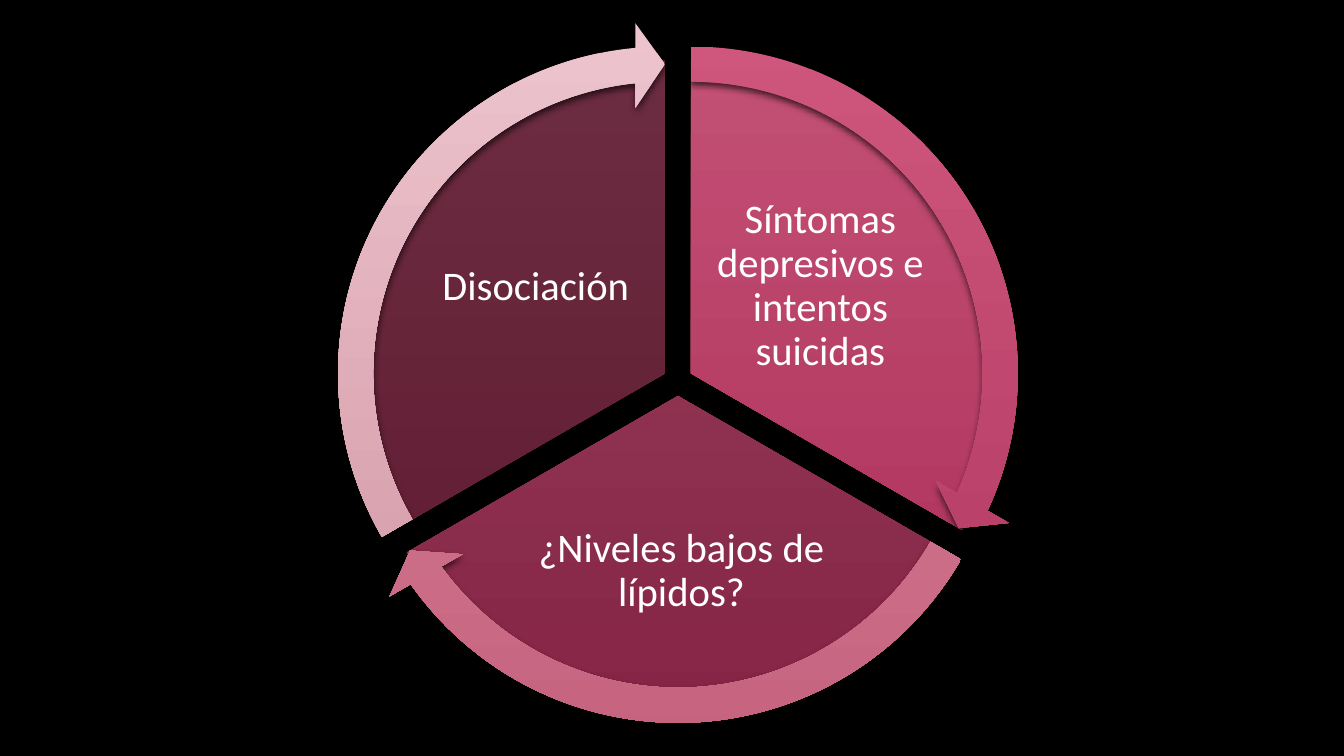
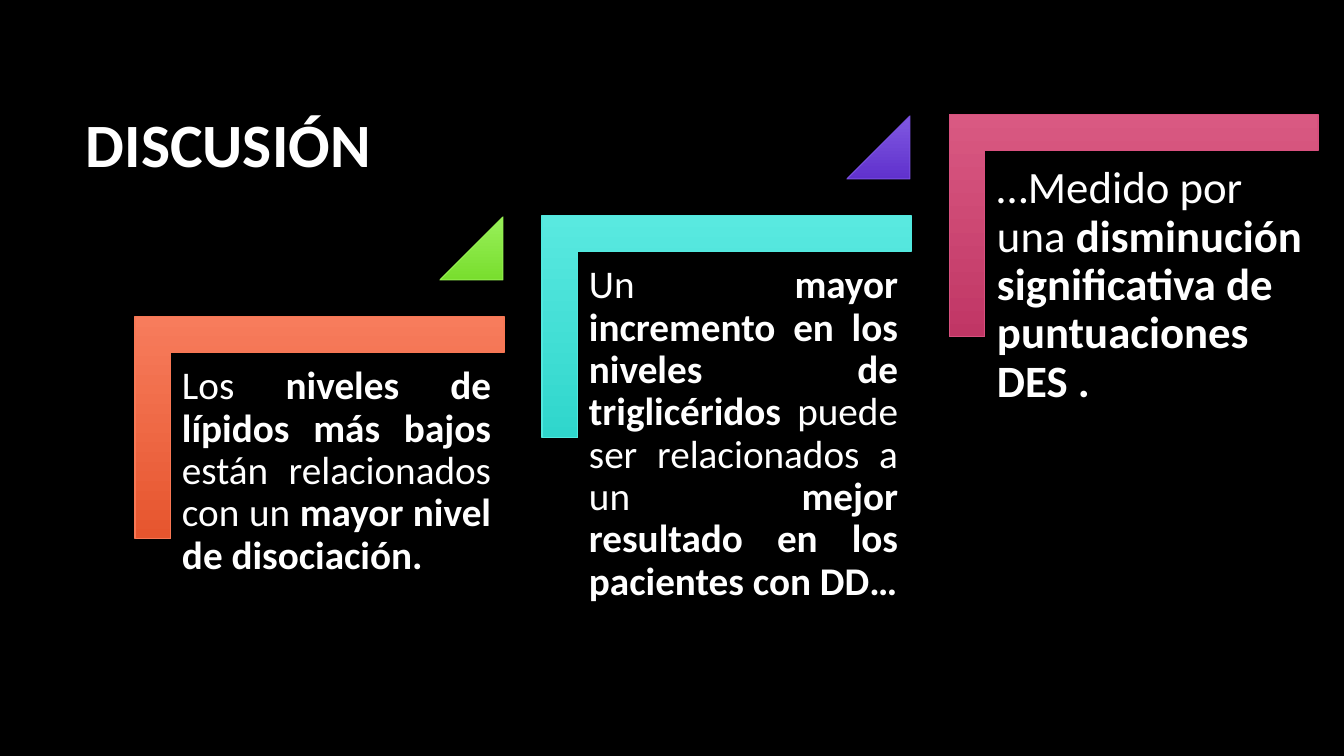
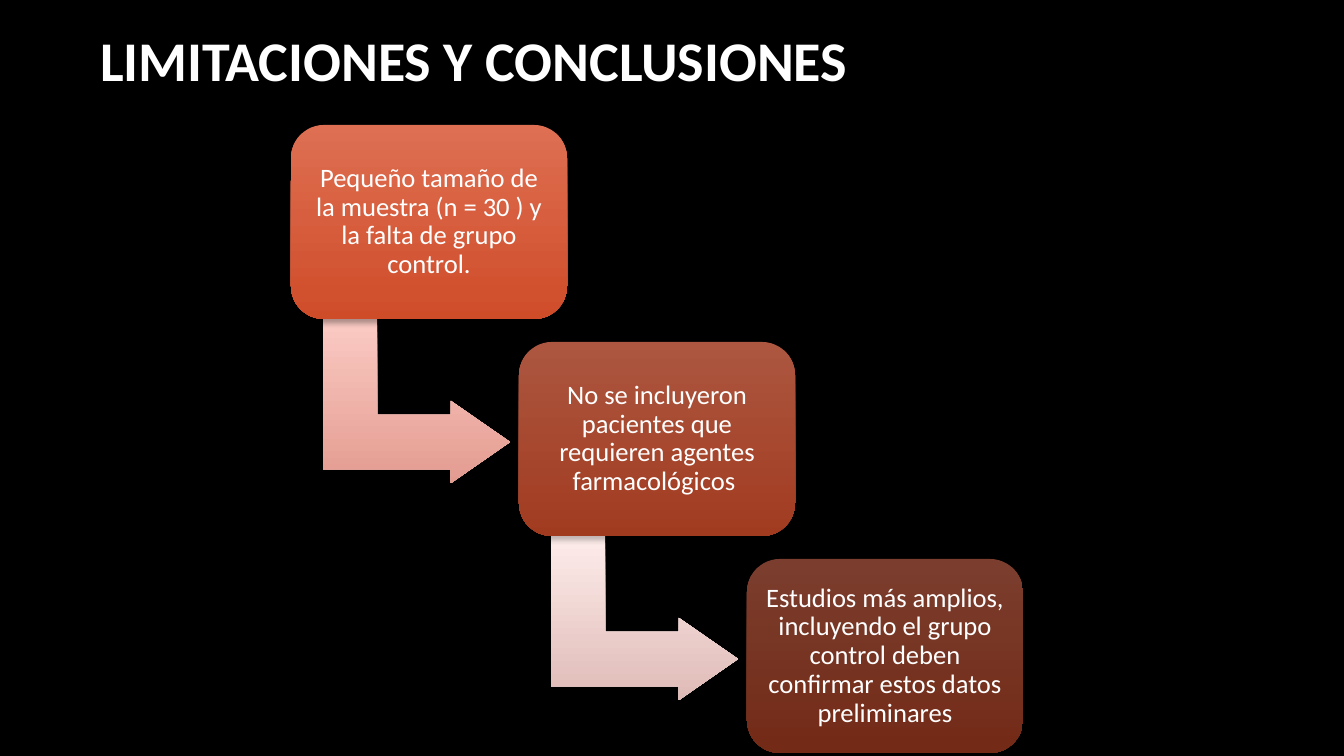
import math
import dataclasses

import lxml.etree
import pptx
import pptx.dml.color
import pptx.enum.shapes
import pptx.enum.text
import pptx.oxml.ns
import pptx.util

FORM = pptx.enum.shapes.MSO_SHAPE
ALIGN = pptx.enum.text.PP_ALIGN
ANCHOR = pptx.enum.text.MSO_ANCHOR
SCALE = 914400 / 100.8
WIDE, HIGH = 1344, 756


@dataclasses.dataclass
class Theme:
    """Colours, font and type sizes of the deck."""
    font: str = "Calibri"
    back: str = "000000"
    ink: str = "FFFFFF"
    rose: tuple = ("D95982", "C03665")
    coral: tuple = ("F77C5C", "E6552E")
    aqua: tuple = ("59E9E0", "2FD6CC")
    lime: tuple = ("98F05A", "79DE2E")
    violet: tuple = ("8059E1", "6031CD")
    edges: tuple = ("F77754", "51E9DF", "D8507E")
    rims: tuple = ("95F052", "7B50E1")
    rings: tuple = (("CF567D", "B13A62"), ("DE8CA3", "C6637F"),
                    ("EDC4CE", "D196A4"))
    bends: tuple = (("FBCBC4", "E39B90"), ("FDECEA", "DFBBB7"))
    fades: tuple = (90, 70, 50)
    deep: tuple = (65, 5)
    soft: tuple = (35, 4)
    head: int = 44
    close: int = 40
    wheel: int = 29
    step: int = 28
    last: int = 32
    card: int = 19


def emu(size):
    """Turn pixels into EMU."""
    return round(size * SCALE)


def rgb(code):
    """Turn a hex code into a colour."""
    return pptx.dml.color.RGBColor.from_string(code)


def add(node, tag, **attrs):
    """Append an XML child to a node."""
    return lxml.etree.SubElement(node, pptx.oxml.ns.qn(tag), attrs)


class Deck:
    """Holds the theme and the current slide."""

    def __init__(self, theme):
        """Start a deck with one shared background."""
        self.theme = theme
        self.show = pptx.Presentation()
        self.show.slide_width = emu(WIDE)
        self.show.slide_height = emu(HIGH)
        fill = self.show.slide_master.background.fill
        fill.solid()
        fill.fore_color.rgb = rgb(theme.back)

    def page(self):
        """Open a new blank slide."""
        self.slide = self.show.slides.add_slide(self.show.slide_layouts[6])

    def shade(self, shape, shadow):
        """Drop a soft shadow straight below a shape."""
        alpha, blur = shadow
        shape.shadow.inherit = False
        effect = shape._element.spPr.find(pptx.oxml.ns.qn("a:effectLst"))
        outer = add(effect, "a:outerShdw", blurRad=str(pptx.util.Pt(blur)),
                    dist=str(pptx.util.Pt(3)), dir="5400000",
                    algn="ctr", rotWithShape="0")
        black = add(outer, "a:srgbClr", val=self.theme.back)
        add(black, "a:alpha", val=str(alpha * 1000))

    def blend(self, shape, pair, fade):
        """Fill a shape from top to bottom with two colours."""
        shape.fill.gradient()
        shape.fill.gradient_angle = 270
        for stop, code in zip(shape.fill.gradient_stops, pair):
            stop.color.rgb = rgb(code)
        grad = shape._element.spPr.find(pptx.oxml.ns.qn("a:gradFill"))
        grad.set("rotWithShape", "0")
        if fade < 100:
            for node in grad.iter(pptx.oxml.ns.qn("a:srgbClr")):
                add(node, "a:alpha", val=str(fade * 1000))

    def shape(self, form, box, pair, adj=(), fade=100, edge=None,
              turned=False, shadow=None):
        """Draw a preset shape that covers the box, a quarter turned or not."""
        left, top, wide, high = box
        if turned:
            left, top = left + (wide - high) / 2, top + (high - wide) / 2
            wide, high = high, wide
        shape = self.slide.shapes.add_shape(
            form, emu(left), emu(top), emu(wide), emu(high))
        if turned:
            shape.rotation = 90
        for i, value in enumerate(adj):
            shape.adjustments[i] = value
        self.blend(shape, pair, fade)
        if edge:
            shape.line.color.rgb = rgb(edge)
            shape.line.width = pptx.util.Pt(0.75)
        else:
            shape.line.fill.background()
        self.shade(shape, shadow or self.theme.deep)
        return shape

    def label(self, shape, parts, size, align=ALIGN.CENTER,
              anchor=ANCHOR.MIDDLE, pad=4, bold=1):
        """Set text in a shape; every second part, from bold on, is bold."""
        frame = shape.text_frame
        frame.word_wrap = True
        frame.vertical_anchor = anchor
        frame.margin_left = frame.margin_right = emu(pad)
        frame.margin_top = frame.margin_bottom = emu(pad)
        para = frame.paragraphs[0]
        para.alignment = align
        para.line_spacing = 0.9
        for i, part in enumerate(parts):
            run = para.add_run()
            run.text = part
            run.font.name = self.theme.font
            run.font.size = pptx.util.Pt(size)
            run.font.bold = i % 2 == bold
            run.font.color.rgb = rgb(self.theme.ink)

    def text(self, box, parts, size, **style):
        """Place a text box."""
        shape = self.slide.shapes.add_textbox(*map(emu, box))
        self.label(shape, parts, size, **style)

    def title(self, left, top, words, size):
        """Place a bold slide title."""
        self.text((left, top, 1117, 160), [words], size,
                  align=ALIGN.LEFT, pad=10, bold=0)


def wheel(deck):
    """Three wedges with arrows that chase round them."""
    theme = deck.theme
    deck.page()
    words = (((708, 193, 225, 187), "Síntomas depresivos e intentos suicidas"),
             ((514, 489, 335, 164), "¿Niveles bajos de lípidos?"),
             ((424, 194, 224, 186), "Disociación"))
    starts = (162, 18, 90)

    def spot(i, size):
        """Box of a wedge or arrow, pushed out from the hub."""
        angle = math.radians(120 * i - 30)
        return (678 + 15 * math.cos(angle) - size / 2,
                381 + 15 * math.sin(angle) - size / 2, size, size)

    for i, (box, line) in enumerate(words):
        deck.shape(FORM.PIE, spot(i, 626), theme.rose,
                   (starts[i], starts[(i + 1) % 3]), theme.fades[i])
        deck.text(box, [line], theme.wheel)
    for i, pair in enumerate(theme.rings):
        deck.shape(FORM.CIRCULAR_ARROW, spot(i, 703), pair,
                   (0.05, 3.28, 14.72 + 72 * i, starts[i], 0.06))


def stairs(deck):
    """Three rising steps with text under each corner."""
    theme = deck.theme
    deck.page()
    deck.title(76, 68, "DISCUSIÓN", theme.head)
    steps = (
        (theme.coral, theme.step, ALIGN.JUSTIFY, 12,
         ("Los ", "niveles de lípidos más bajos ",
          "están relacionados con un ", "mayor nivel de disociación.")),
        (theme.aqua, theme.step, ALIGN.JUSTIFY, 12,
         ("Un ", "mayor incremento en los niveles de triglicéridos ",
          "puede ser relacionados a un ",
          "mejor resultado en los pacientes con DD…")),
        (theme.rose, theme.last, ALIGN.LEFT, 13,
         ("…Medido por una ",
          "disminución significativa de puntuaciones DES . ")))
    marks = (theme.lime, theme.violet)
    for i, (pair, size, align, pad, parts) in enumerate(steps):
        x, y = 135 + 407 * i, 317 - 101 * i
        deck.shape(FORM.CORNER, (x, y, 369, 222), pair, (0.16, 0.16),
                   edge=theme.edges[i], turned=True)
        deck.text((x + 35, y + 37, 333, 291), parts, size,
                  align=align, anchor=ANCHOR.TOP, pad=pad)
        if i < len(marks):
            deck.shape(FORM.ISOSCELES_TRIANGLE, (x + 305, y - 100, 63, 63),
                       marks[i], (1,), edge=theme.rims[i])


def cascade(deck):
    """Three cards going down, joined by bent arrows."""
    theme = deck.theme
    deck.page()
    deck.title(90, -17, "LIMITACIONES Y CONCLUSIONES", theme.close)
    cards = ("Pequeño tamaño de la muestra (n = 30 ) y la falta de grupo "
             "control.",
             "No se incluyeron pacientes que requieren agentes "
             "farmacológicos ",
             "Estudios más amplios, incluyendo el grupo control deben "
             "confirmar estos datos preliminares")
    for i, line in enumerate(cards):
        x, y = 291 + 228 * i, 125 + 217 * i
        if i < len(theme.bends):
            deck.shape(FORM.BENT_UP_ARROW, (x + 32, y + 194, 187, 164),
                       theme.bends[i], (0.33, 0.25, 0.36),
                       turned=True, shadow=theme.soft)
        card = deck.shape(FORM.ROUNDED_RECTANGLE, (x, y, 276, 194),
                          theme.coral, (0.17,), theme.fades[i],
                          shadow=theme.soft)
        deck.label(card, [line], theme.card, pad=8)


deck = Deck(Theme())
wheel(deck)
stairs(deck)
cascade(deck)
deck.show.save("out.pptx")
